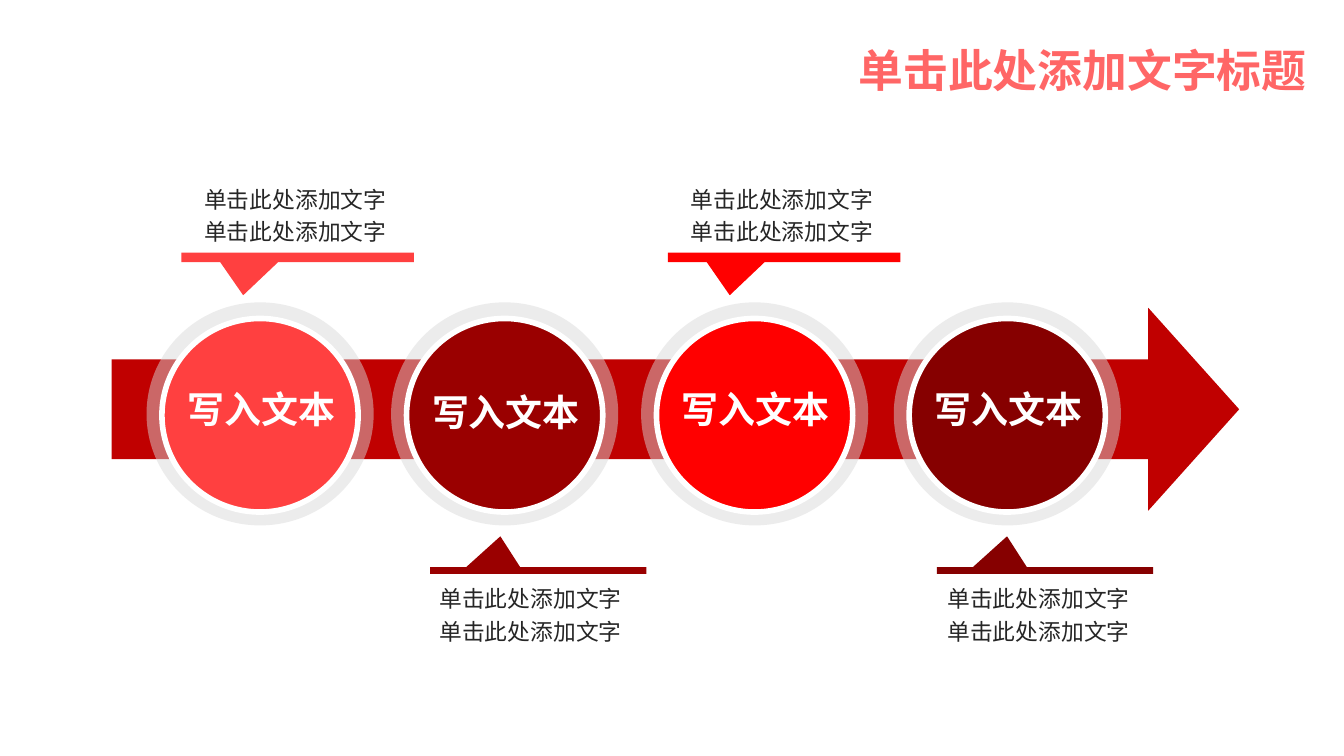
from lxml.etree import SubElement
from pptx import Presentation
from pptx.dml.color import RGBColor
from pptx.enum.shapes import MSO_SHAPE
from pptx.enum.text import MSO_ANCHOR, MSO_AUTO_SIZE, PP_ALIGN
from pptx.oxml.ns import qn
from pptx.util import Inches, Pt

FONT = "Noto Sans CJK SC"
TITLE = "单击此处添加文字标题"
LABEL = "写入文本"
DETAIL = ["单击此处添加文字", "单击此处添加文字"]

# Left of ring, colour, top of label, callout side, left of bar, left of detail
STEPS = [
    (1.09, "FF4040", 2.83, "above", 1.35, 1.42),
    (2.91, "9A0000", 2.85, "below", 3.20, 3.17),
    (4.77, "FF0000", 2.83, "above", 4.97, 5.04),
    (6.65, "860000", 2.83, "below", 6.97, 6.95),
]
SIDES = {
    "above": {"bar": (1.88, 1.73, 0.07), "tip": (-0.234, 4.033), "detail_top": 1.29},
    "below": {"bar": (4.22, 1.61, 0.05), "tip": (-0.175, -5.095), "detail_top": 4.26},
}
RING_TOP, RING_WIDTH, RING_HEIGHT = 2.25, 1.69, 1.66
DISC_WIDTH, DISC_HEIGHT = 1.46, 1.44
LABEL_WIDTH, DETAIL_WIDTH, TEXT_HEIGHT = 1.86, 1.61, 0.59

TITLE_FORMAT = {"size": Pt(24), "bold": True}
LABEL_FORMAT = {"size": Pt(19.8), "bold": True}
DETAIL_FORMAT = {"size": Pt(12.2), "bold": False}


def rgb(value):
    return RGBColor.from_string(value)


def add_filled(shapes, kind, box, color, adjustments=()):
    shape = shapes.add_shape(kind, *map(Inches, box))
    shape.shadow.inherit = False
    shape.fill.solid()
    shape.fill.fore_color.rgb = rgb(color)
    shape.line.fill.background()
    for index, value in enumerate(adjustments):
        shape.adjustments[index] = value
    return shape


def add_text(shapes, box, lines, font_format, color, align=PP_ALIGN.LEFT,
             spacing=1.0, wrap=True, auto_size=MSO_AUTO_SIZE.NONE):
    frame = shapes.add_textbox(*map(Inches, box)).text_frame
    frame.word_wrap = wrap
    frame.auto_size = auto_size
    frame.vertical_anchor = MSO_ANCHOR.TOP
    frame.text = "\n".join(lines)
    for paragraph in frame.paragraphs:
        paragraph.alignment = align
        paragraph.line_spacing = spacing
        for run in paragraph.runs:
            for name, value in font_format.items():
                setattr(run.font, name, value)
            run.font.color.rgb = rgb(color)
            run.font.name = FONT
            # East Asian glyphs take their typeface from a:ea
            SubElement(run.font._element, qn("a:ea"), typeface=FONT)


def set_opacity(shape, percent):
    color = shape.fill._xPr.find(qn("a:solidFill"))[0]
    SubElement(color, qn("a:alpha"), val=str(percent * 1000))


def add_step(shapes, left, color, label_top):
    """Group a translucent ring, a coloured disc and its label."""
    group = shapes.add_group_shape().shapes
    center_x = left + RING_WIDTH / 2
    center_y = RING_TOP + RING_HEIGHT / 2 + 0.01
    ring = add_filled(group, MSO_SHAPE.OVAL,
                      (left, RING_TOP, RING_WIDTH, RING_HEIGHT), "D8D8D8")
    set_opacity(ring, 48)
    disc = add_filled(group, MSO_SHAPE.OVAL,
                      (center_x - DISC_WIDTH / 2, center_y - DISC_HEIGHT / 2,
                       DISC_WIDTH, DISC_HEIGHT), color)
    disc.line.color.rgb = rgb("FFFFFF")
    disc.line.width = Pt(3)
    add_text(group, (center_x - LABEL_WIDTH / 2 + 0.01, label_top, LABEL_WIDTH, TEXT_HEIGHT),
             [LABEL], LABEL_FORMAT, "FFFFFF", PP_ALIGN.CENTER)


def add_callout(shapes, color, side, bar_left, detail_left):
    place = SIDES[side]
    add_filled(shapes, MSO_SHAPE.RECTANGULAR_CALLOUT,
               (bar_left, *place["bar"]), color, place["tip"])
    add_text(shapes, (detail_left, place["detail_top"], DETAIL_WIDTH, TEXT_HEIGHT),
             DETAIL, DETAIL_FORMAT, "262626", spacing=1.2,
             auto_size=MSO_AUTO_SIZE.SHAPE_TO_FIT_TEXT)


def main():
    deck = Presentation()
    deck.slide_width = Inches(10)
    deck.slide_height = deck.slide_width * 9 // 16
    shapes = deck.slides.add_slide(deck.slide_layouts[6]).shapes

    add_text(shapes, (6.29, 0.27, 3.57, 0.5), [TITLE], TITLE_FORMAT, "FF6666",
             wrap=False, auto_size=MSO_AUTO_SIZE.SHAPE_TO_FIT_TEXT)
    arrow = add_filled(shapes, MSO_SHAPE.DOWN_ARROW, (4.27, -1.15, 1.51, 8.39),
                       "C00000", (0.491, 0.448))
    arrow.rotation = 270

    for ring_left, color, label_top, side, bar_left, detail_left in STEPS:
        add_step(shapes, ring_left, color, label_top)
        add_callout(shapes, color, side, bar_left, detail_left)

    deck.save("out.pptx")


if __name__ == "__main__":
    main()
